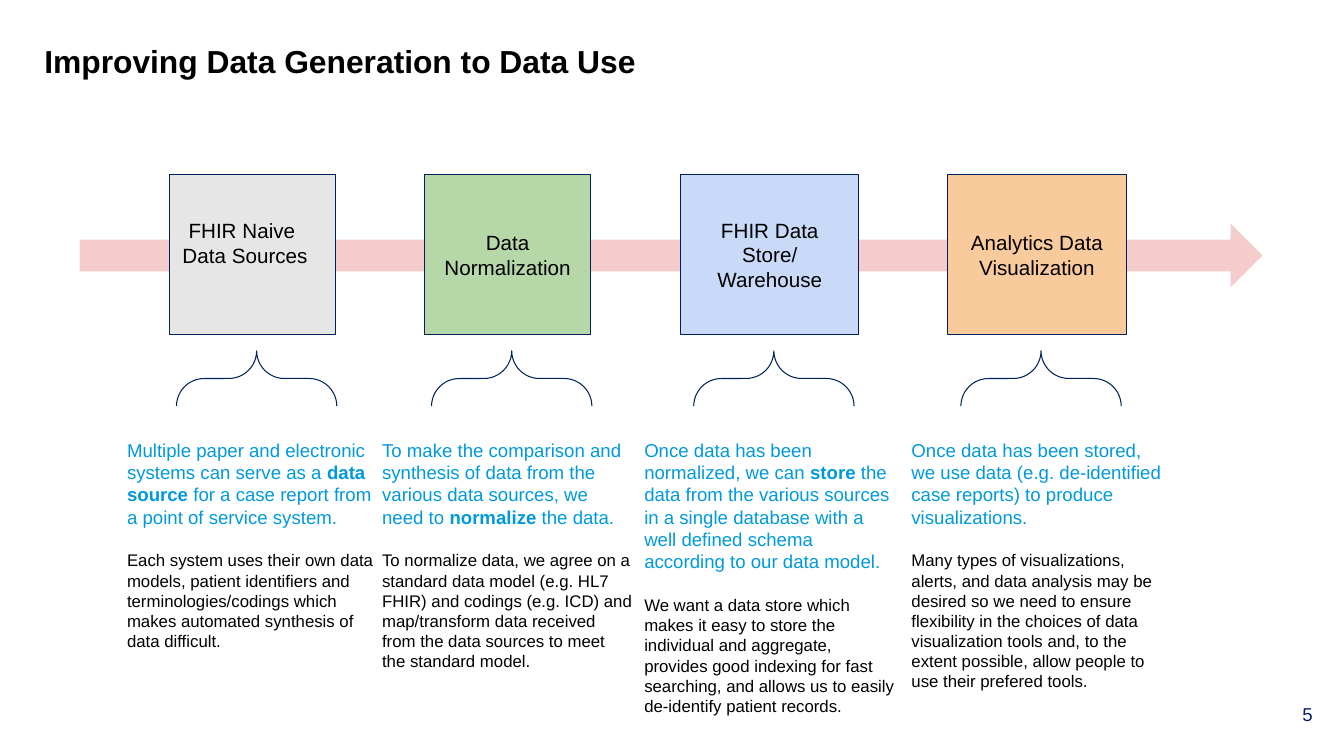
"""Build the slide that leads from data generation to data use."""
from dataclasses import dataclass

import pptx
import pptx.dml.color
import pptx.enum.shapes
import pptx.enum.text
import pptx.util

PX = 9144
NAVY, BLACK, SKY = "00205C", "000000", "0099DD"
ALIGN = pptx.enum.text.PP_ALIGN
ANCHOR = pptx.enum.text.MSO_ANCHOR
SHAPE = pptx.enum.shapes.MSO_SHAPE
BOX_TOP, BOX_HEIGHT = 173, 159
BRACE_OFFSET, BRACE_TOP, BRACE_WIDTH, BRACE_HEIGHT = 114, 296, 55, 159
NOTE_TOP, NOTE_WIDTH, NOTE_HEIGHT = 422, 275, 257
INSET = 13


@dataclass
class Stage:
    box_left: int
    box_width: int
    fill: str
    label: tuple[str, ...]
    note_left: int
    summary: tuple[tuple[str, bool], ...]
    detail: str
    label_align: int = ALIGN.CENTER
    label_indent: int = 0
    label_lift: int = 0


STAGES = [
    Stage(
        168, 165, "E7E6E6", ("FHIR Naive Data Sources",), 113,
        (("Multiple paper and electronic systems can serve as a ", False),
         ("data source", True),
         (" for a case report from a point of service system.", False)),
        "Each system uses their own data models, patient identifiers and "
        "terminologies/codings which makes automated synthesis of data difficult.",
        label_align=ALIGN.LEFT, label_indent=6, label_lift=24,
    ),
    Stage(
        421, 165, "B6D7A8", ("Data Normalization",), 366,
        (("To make the comparison and synthesis of data from the various "
          "data sources, we need to ", False),
         ("normalize", True),
         (" the data.", False)),
        "To normalize data, we agree on a standard data model (e.g. HL7 FHIR) "
        "and codings (e.g. ICD) and map/transform data received from the data "
        "sources to meet the standard model.",
    ),
    Stage(
        675, 177, "C9DAF8", ("FHIR Data Store/", "Warehouse"), 626,
        (("Once data has been normalized, we can ", False),
         ("store", True),
         (" the data from the various sources in a single database with a "
          "well defined schema according to our data model.", False)),
        "We want a data store which makes it easy to store the individual and "
        "aggregate, provides good indexing for fast searching, and allows us to "
        "easily de-identify patient records.",
    ),
    Stage(
        940, 177, "F9CB9C", ("Analytics Data Visualization",), 891,
        (("Once data has been stored, we use data (e.g. de-identified case "
          "reports) to produce visualizations.", False),),
        "Many types of visualizations, alerts, and data analysis may be desired "
        "so we need to ensure flexibility in the choices of data visualization "
        "tools and, to the extent possible, allow people to use their prefered "
        "tools.",
    ),
]


def color(value: str) -> pptx.dml.color.RGBColor:
    """Turn a hex string into a colour."""
    return pptx.dml.color.RGBColor.from_string(value)


def emu(*lengths: int) -> list[int]:
    """Turn px lengths into EMU."""
    return [length * PX for length in lengths]


def add_run(paragraph, text: str, size: float, hex_color: str, bold: bool = False) -> None:
    """Append one formatted run to a paragraph."""
    run = paragraph.add_run()
    run.text = text
    run.font.name = "Arial"
    run.font.size = pptx.util.Pt(size)
    run.font.bold = bold
    run.font.color.rgb = color(hex_color)


def prepare_frame(shape, anchor, lift: int = 0):
    """Set wrapping, insets and anchor, and return the text frame."""
    frame = shape.text_frame
    frame.word_wrap = True
    frame.auto_size = pptx.enum.text.MSO_AUTO_SIZE.NONE
    frame.vertical_anchor = anchor
    frame.margin_left, frame.margin_top, frame.margin_right, frame.margin_bottom = emu(
        INSET, INSET, INSET, INSET + lift)
    return frame


def add_preset(slide, kind, bounds: tuple[int, int, int, int],
               fill: str | None = None, line: str | None = None):
    """Add a flat preset shape with an optional fill and outline."""
    shape = slide.shapes.add_shape(kind, *emu(*bounds))
    shape.shadow.inherit = False
    if fill:
        shape.fill.solid()
        shape.fill.fore_color.rgb = color(fill)
    else:
        shape.fill.background()
    if line:
        shape.line.color.rgb = color(line)
        shape.line.width = pptx.util.Pt(0.75)
    else:
        shape.line.fill.background()
    return shape


def add_title(slide, text: str) -> None:
    """Place and format the title placeholder."""
    title = slide.shapes.title
    title.left, title.top, title.width, title.height = emu(31, 28, 740, 110)
    paragraph = prepare_frame(title, ANCHOR.TOP).paragraphs[0]
    paragraph.alignment = ALIGN.LEFT
    add_run(paragraph, text, 22.7, BLACK, True)


def add_stage(slide, stage: Stage) -> None:
    """Draw the box, brace and explanation of one stage."""
    box = add_preset(slide, SHAPE.RECTANGLE,
                     (stage.box_left, BOX_TOP, stage.box_width, BOX_HEIGHT), stage.fill, NAVY)
    paragraph = prepare_frame(box, ANCHOR.MIDDLE, stage.label_lift).paragraphs[0]
    paragraph.alignment = stage.label_align
    if stage.label_indent:
        paragraph._p.get_or_add_pPr().set("indent", str(stage.label_indent * PX))
    for index, line in enumerate(stage.label):
        if index:
            paragraph.add_line_break()
        add_run(paragraph, line, 14.7, BLACK)

    brace = add_preset(slide, SHAPE.LEFT_BRACE,
                       (stage.note_left + BRACE_OFFSET, BRACE_TOP, BRACE_WIDTH, BRACE_HEIGHT),
                       line=NAVY)
    brace.rotation = 90
    brace.adjustments[0] = brace.adjustments[1] = 0.5

    note = slide.shapes.add_textbox(*emu(stage.note_left, NOTE_TOP, NOTE_WIDTH, NOTE_HEIGHT))
    frame = prepare_frame(note, ANCHOR.TOP)
    for text, bold in stage.summary:
        add_run(frame.paragraphs[0], text, 13.3, SKY, bold)
    detail = frame.add_paragraph()
    detail.space_before = pptx.util.Pt(16)
    add_run(detail, stage.detail, 12, BLACK)


def add_page_number(slide, number: str) -> None:
    """Write the page number in the lower right corner."""
    box = slide.shapes.add_textbox(*emu(1235, 680, 80, 57))
    paragraph = prepare_frame(box, ANCHOR.MIDDLE).paragraphs[0]
    paragraph.alignment = ALIGN.RIGHT
    add_run(paragraph, number, 13.3, NAVY)


def main() -> None:
    """Build and save the presentation."""
    presentation = pptx.Presentation()
    presentation.slide_width, presentation.slide_height = emu(1333, 750)
    slide = presentation.slides.add_slide(presentation.slide_layouts.get_by_name("Title Only"))
    add_title(slide, "Improving Data Generation to Data Use")
    add_preset(slide, SHAPE.RIGHT_ARROW, (79, 222, 1173, 63), "F4CCCC")
    for stage in STAGES:
        add_stage(slide, stage)
    add_page_number(slide, "5")
    presentation.save("out.pptx")


if __name__ == "__main__":
    main()
